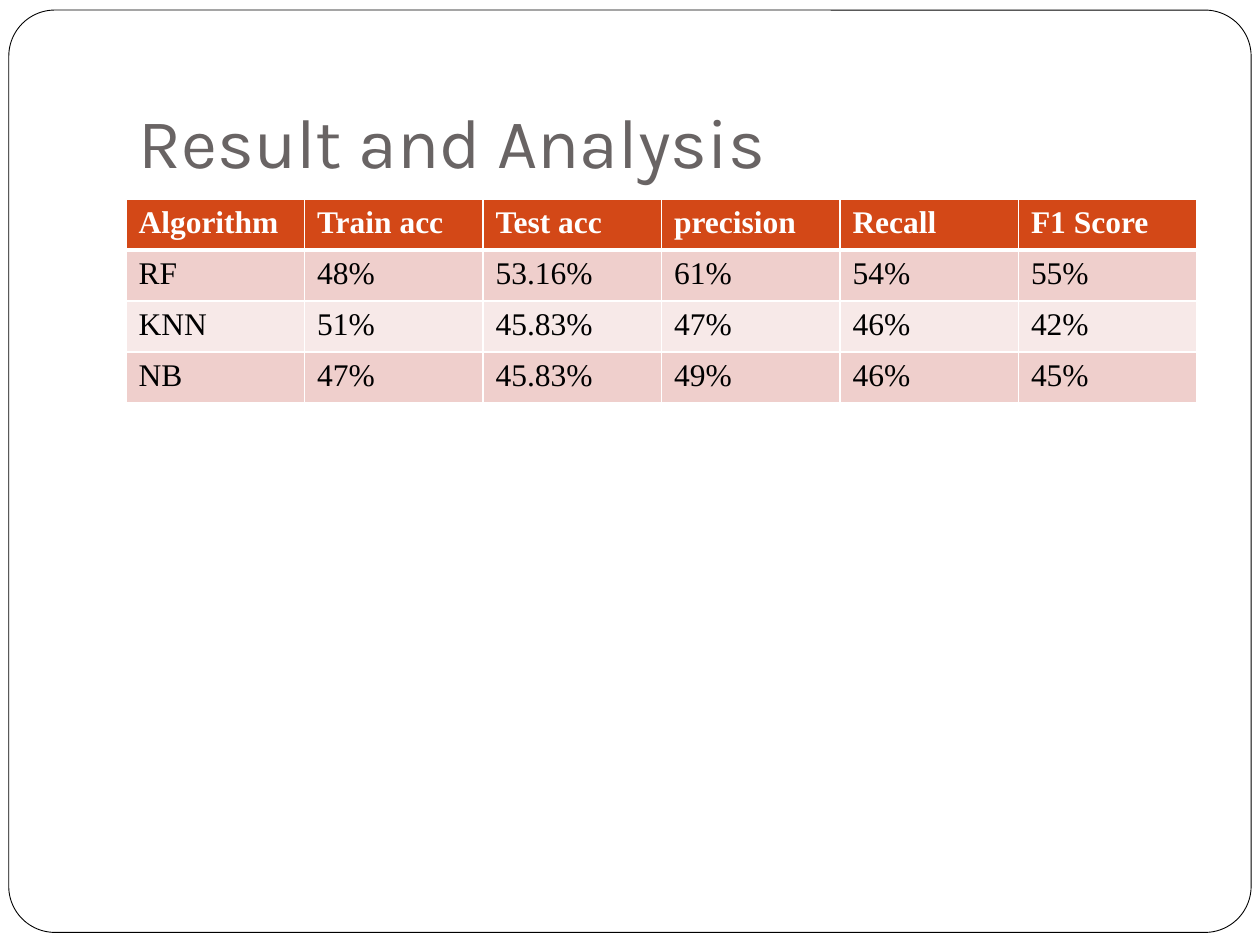
from lxml.etree import SubElement
from pptx import Presentation
from pptx.dml.color import RGBColor
from pptx.enum.shapes import MSO_SHAPE
from pptx.enum.text import MSO_ANCHOR, MSO_AUTO_SIZE, PP_ALIGN
from pptx.oxml.ns import qn
from pptx.util import Inches, Pt

COLORS = {
    "white": "FFFFFF",
    "black": "000000",
    "title": "696464",
    "header": "D34817",
    "odd": "EFCFCC",
    "even": "F7E9E8",
}
RESULTS = [
    ["Algorithm", "Train acc", "Test acc", "precision", "Recall", "F1 Score"],
    ["RF", "48%", "53.16%", "61%", "54%", "55%"],
    ["KNN", "51%", "45.83%", "47%", "46%", "42%"],
    ["NB", "47%", "45.83%", "49%", "46%", "45%"],
]


def style_font(font, name, size, color, bold=False):
    """Set the typeface, size, colour and weight of a font."""
    for attribute, value in {"name": name, "size": Pt(size), "bold": bold}.items():
        setattr(font, attribute, value)
    font.color.rgb = RGBColor.from_string(COLORS[color])


def add_borders(cell, widths):
    """Draw white cell borders; widths maps each side to points."""
    properties = cell._tc.get_or_add_tcPr()
    for side, width in widths.items():
        line = SubElement(properties, qn(f"a:ln{side}"), w=str(Pt(width)))
        fill = SubElement(line, qn("a:solidFill"))
        SubElement(fill, qn("a:srgbClr"), val=COLORS["white"])


prs = Presentation()
prs.slide_width, prs.slide_height = Inches(10), Inches(7.5)
slide = prs.slides.add_slide(prs.slide_layouts[5])

# Rounded frame, sent behind the title
frame = slide.shapes.add_shape(
    MSO_SHAPE.ROUNDED_RECTANGLE, Inches(0.07), Inches(0.08), Inches(9.86), Inches(7.32)
)
frame.adjustments[0] = 0.05
frame.shadow.inherit = False
frame.fill.solid()
frame.fill.fore_color.rgb = RGBColor.from_string(COLORS["white"])
frame.line.color.rgb = RGBColor.from_string(COLORS["black"])
frame.line.width = Pt(0.5)
slide.shapes._spTree.insert(2, frame._element)

# Title
title = slide.shapes.title
title_place = {"left": 1, "top": 0.3, "width": 8.5, "height": 1.25}
for attribute, inches in title_place.items():
    setattr(title, attribute, Inches(inches))
title_format = {
    "text": "Result and Analysis",
    "word_wrap": True,
    "auto_size": MSO_AUTO_SIZE.NONE,
    "vertical_anchor": MSO_ANCHOR.BOTTOM,
    "margin_left": Inches(0.1),
    "margin_top": Inches(0.05),
    "margin_right": Inches(0.1),
    "margin_bottom": Inches(0.1),
}
for attribute, value in title_format.items():
    setattr(title.text_frame, attribute, value)
heading = title.text_frame.paragraphs[0]
heading.alignment = PP_ALIGN.LEFT
style_font(heading.runs[0].font, "Karla", 40, "title")

# Results table
row_count, column_count = len(RESULTS), len(RESULTS[0])
results = slide.shapes.add_table(
    row_count, column_count, Inches(1), Inches(1.58), Inches(8.5), Inches(1.62)
).table
for r, values in enumerate(RESULTS):
    is_header = r == 0
    band = "header" if is_header else "odd" if r % 2 else "even"
    borders = {"L": 1, "R": 1, "T": 3 if r == 1 else 1, "B": 3 if is_header else 1}
    for c, value in enumerate(values):
        cell = results.cell(r, c)
        cell.text = value
        style_font(
            cell.text_frame.paragraphs[0].runs[0].font,
            "Times New Roman",
            18,
            "white" if is_header else "black",
            is_header,
        )
        add_borders(cell, borders)
        cell.fill.solid()
        cell.fill.fore_color.rgb = RGBColor.from_string(COLORS[band])

prs.save("out.pptx")
